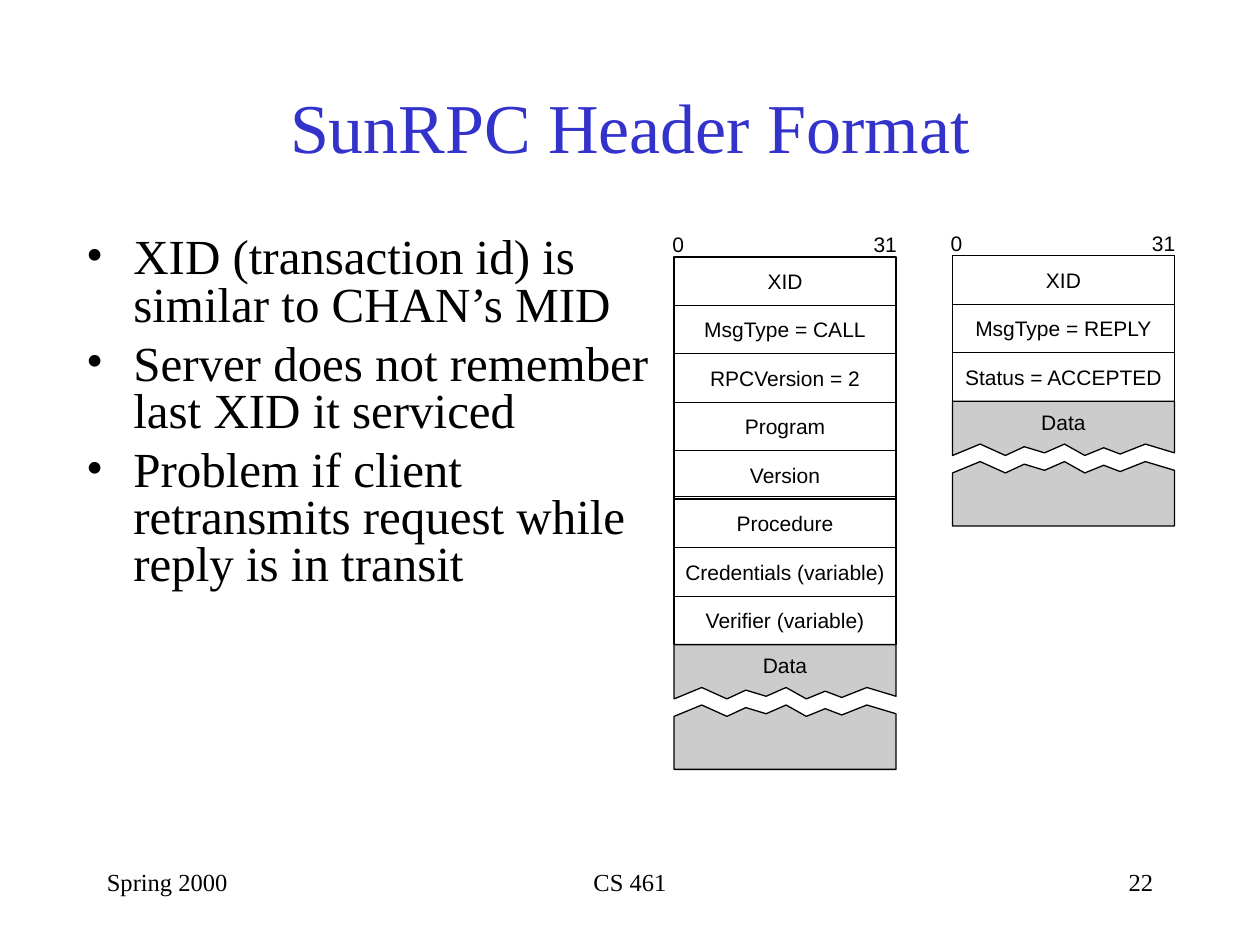
"""Build the SunRPC header format slide with its call and reply message layouts."""
from dataclasses import dataclass

from lxml import etree
from pptx import Presentation
from pptx.dml.color import RGBColor
from pptx.enum import shapes, text
from pptx.oxml import ns
from pptx.util import Pt


@dataclass(frozen=True)
class Theme:
    serif: str = "Times New Roman"
    sans: str = "Arial"
    title_color: RGBColor = RGBColor(0x33, 0x33, 0xCC)
    ink: RGBColor = RGBColor(0, 0, 0)
    data_fill: RGBColor = RGBColor(0xCC, 0xCC, 0xCC)
    title_size: int = 40
    body_size: int = 28
    footer_size: int = 14
    label_size: int = 12
    line_width: float = 0.75


theme = Theme()
align = text.PP_ALIGN


def set_font(paragraph, name, size, color):
    paragraph.font.name = name
    paragraph.font.size = Pt(size)
    paragraph.font.color.rgb = color


def add_label(wording, left, top, width, alignment=align.CENTER):
    box = slide.shapes.add_textbox(Pt(left), Pt(top), Pt(width), Pt(LABEL_HEIGHT))
    frame = box.text_frame
    frame.margin_left = frame.margin_right = frame.margin_top = frame.margin_bottom = 0
    frame.word_wrap = False
    frame.auto_size = text.MSO_AUTO_SIZE.SHAPE_TO_FIT_TEXT
    frame.text = wording
    frame.paragraphs[0].alignment = alignment
    set_font(frame.paragraphs[0], theme.sans, theme.label_size, theme.ink)


presentation = Presentation()
presentation.slide_width, presentation.slide_height = Pt(720), Pt(540)
slide = presentation.slides.add_slide(presentation.slide_layouts[1])

title = slide.shapes.title
title.left, title.top, title.width, title.height = Pt(54), Pt(36), Pt(612), Pt(72)
title.text_frame.text = "SunRPC Header Format"
title.text_frame.auto_size = text.MSO_AUTO_SIZE.NONE
title.text_frame.vertical_anchor = text.MSO_ANCHOR.MIDDLE
title.text_frame.paragraphs[0].alignment = align.CENTER
set_font(title.text_frame.paragraphs[0], theme.serif, theme.title_size, theme.title_color)

body = slide.placeholders[1]
body.left, body.top, body.width, body.height = Pt(42), Pt(132), Pt(342), Pt(264)
body.text_frame.text = "\n".join([
    "XID (transaction id) is similar to CHAN’s MID",
    "Server does not remember last XID it serviced",
    "Problem if client retransmits request while reply is in transit",
])
body.text_frame.auto_size = text.MSO_AUTO_SIZE.NONE
body.text_frame.vertical_anchor = text.MSO_ANCHOR.TOP
for index, paragraph in enumerate(body.text_frame.paragraphs):
    properties = paragraph._p.get_or_add_pPr()
    properties.set("marL", str(Pt(27)))
    properties.set("indent", str(Pt(-27)))
    bullet_color = etree.SubElement(properties, ns.qn("a:buClr"))
    etree.SubElement(bullet_color, ns.qn("a:srgbClr"), val=str(theme.ink))
    etree.SubElement(properties, ns.qn("a:buFont"), typeface=theme.serif)
    etree.SubElement(properties, ns.qn("a:buChar"), char="•")
    paragraph.line_spacing = 0.8
    paragraph.space_before = Pt(7 if index else 0)
    set_font(paragraph, theme.serif, theme.body_size, theme.ink)

LABEL_HEIGHT = 14.4
COLUMN_WIDTH = 126.8
ROW_HEIGHT = 27.7
TEAR_GAP = 10
DATA_HEIGHT = 71.3
TEAR = [
    (0, 31), (15.8, 24.5), (30.2, 31), (41, 26), (52.6, 29.5), (64, 24.5),
    (75.6, 31), (86.4, 26.6), (95.8, 30.2), (110.2, 24.5), (COLUMN_WIDTH, 29.5),
]
call_fields = [
    ("XID", 24), ("MsgType = CALL", 97), ("RPCVersion = 2", 90), ("Program", 50),
    ("Version", 45), ("Procedure", 60), ("Credentials (variable)", 118),
    ("Verifier (variable)", 95),
]
reply_fields = [("XID", 24), ("MsgType = REPLY", 106), ("Status = ACCEPTED", 117)]
messages = [
    (385.2, 146.8, call_fields, [(0, 138.4), (137, 84.6)]),
    (544.3, 146.2, reply_fields, [(0, 83.1)]),
]

for left, top, fields, frames in messages:
    right = left + COLUMN_WIDTH
    center = left + COLUMN_WIDTH / 2
    data_top = top + ROW_HEIGHT * len(fields)

    upper_edge = [(0, 0), *TEAR, (COLUMN_WIDTH, 0)]
    lower_edge = [(0, DATA_HEIGHT), *((x, y + TEAR_GAP) for x, y in TEAR),
                  (COLUMN_WIDTH, DATA_HEIGHT)]
    for outline in (upper_edge, lower_edge):
        points = [(Pt(left + x), Pt(data_top + y)) for x, y in outline]
        builder = slide.shapes.build_freeform(*points[0], scale=1.0)
        builder.add_line_segments(points[1:], close=True)
        piece = builder.convert_to_shape()
        piece.shadow.inherit = False
        piece.fill.solid()
        piece.fill.fore_color.rgb = theme.data_fill
        piece.line.color.rgb = theme.ink
        piece.line.width = Pt(theme.line_width)

    for offset, height in frames:
        frame_box = slide.shapes.add_shape(
            shapes.MSO_SHAPE.RECTANGLE, Pt(left), Pt(top + offset), Pt(COLUMN_WIDTH), Pt(height))
        frame_box.shadow.inherit = False
        frame_box.fill.background()
        frame_box.line.color.rgb = theme.ink
        frame_box.line.width = Pt(theme.line_width)

    for row, (wording, width) in enumerate(fields):
        row_top = top + row * ROW_HEIGHT
        add_label(wording, center - width / 2, row_top + (ROW_HEIGHT - LABEL_HEIGHT) / 2, width)
        if row not in (0, 5):
            divider = slide.shapes.add_connector(
                shapes.MSO_CONNECTOR.STRAIGHT, Pt(left), Pt(row_top), Pt(right), Pt(row_top))
            divider.line.color.rgb = theme.ink
            divider.line.width = Pt(theme.line_width)
            etree.SubElement(divider._element.spPr, ns.qn("a:effectLst"))

    add_label("Data", center - 15, data_top + 4.5, 30)
    add_label("0", left - 1, top - 14.4, 8, align.LEFT)
    add_label("31", right - 15, top - 14.4, 15.5, align.RIGHT)

footers = [
    ("Spring 2000", 54, 150, align.LEFT),
    ("CS 461", 246, 228, align.CENTER),
    ("22", 516, 150, align.RIGHT),
]
for wording, left, width, alignment in footers:
    footer = slide.shapes.add_textbox(Pt(left), Pt(492), Pt(width), Pt(36))
    footer.text_frame.word_wrap = True
    footer.text_frame.text = wording
    footer.text_frame.paragraphs[0].alignment = alignment
    set_font(footer.text_frame.paragraphs[0], theme.serif, theme.footer_size, theme.ink)

presentation.save("out.pptx")
